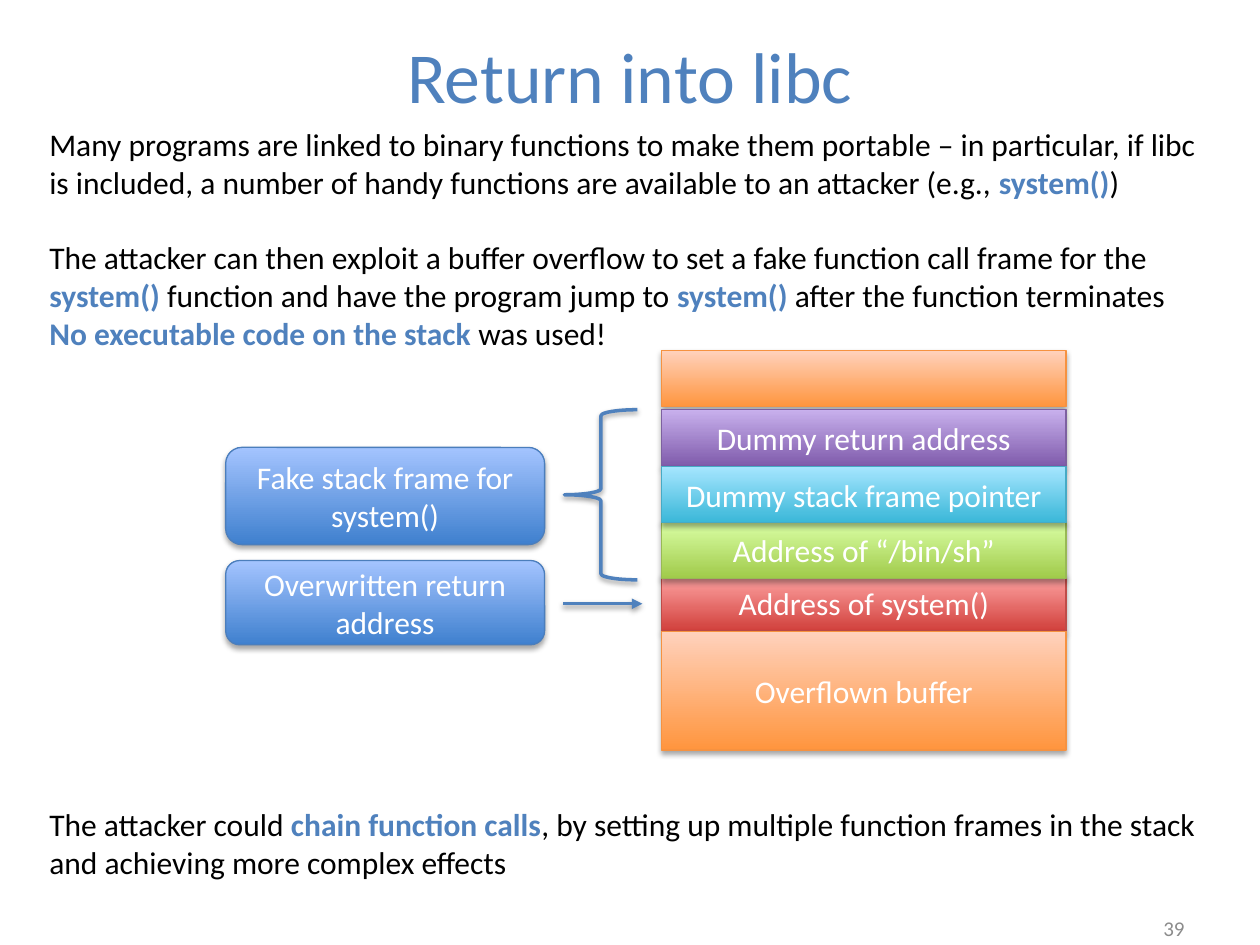
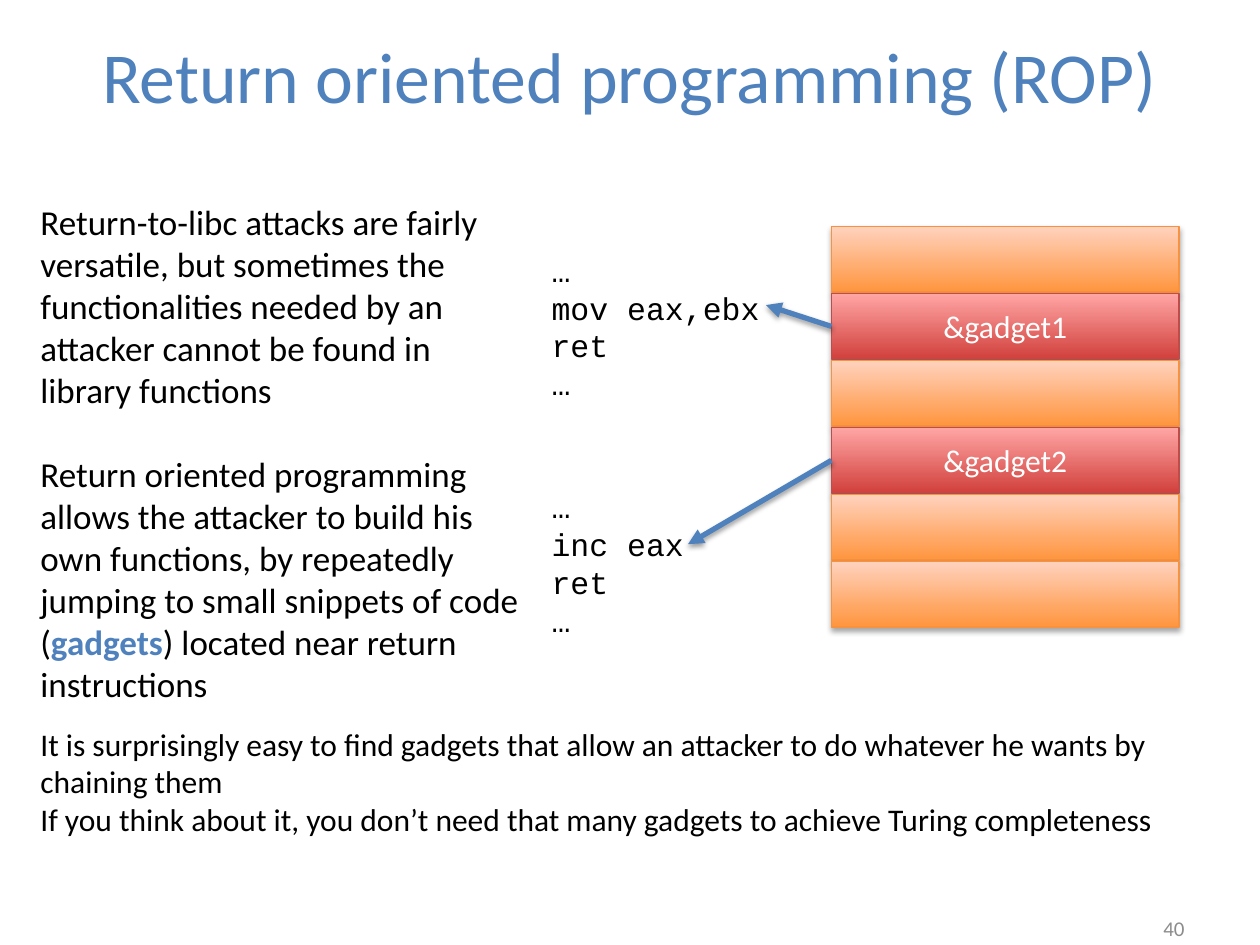
from dataclasses import dataclass

from lxml.etree import SubElement
from pptx import Presentation
from pptx.dml.color import RGBColor
from pptx.enum.shapes import MSO_CONNECTOR, MSO_SHAPE
from pptx.enum.text import MSO_ANCHOR, MSO_AUTO_SIZE, PP_ALIGN
from pptx.oxml.ns import qn
from pptx.util import Cm, Pt


@dataclass(frozen=True)
class Theme:
    font: str = "Calibri"
    code_font: str = "Courier New"
    title_size: int = 41
    lead_size: int = 20
    text_size: int = 18
    number_size: int = 12
    accent: str = "4F81BD"
    ink: str = "000000"
    light: str = "FFFFFF"
    grey: str = "8C8C8C"


THEME = Theme()

# Gradient bottom, gradient top, outline
PALETTE = {
    "orange": ("FF953E", "FFD2BD", "F69240"),
    "red": ("D1403C", "FFA6A5", "BF4C48"),
    "purple": ("7F5BAB", "C8B0ED", "7D60A0"),
    "green": ("A0CA4A", "DAFFA5", "98B955"),
    "cyan": ("39B7D8", "A7E6FF", "46AAC5"),
    "blue": ("3F80CE", "A4C4FF", "4B7EBC"),
}

# Texts are lists of blocks, a block is a list of paragraphs; *…* marks emphasis.
LIBC_TITLE = "Return into libc"
LIBC_INTRO = [
    ["Many programs are linked to binary functions to make them portable – in particular, "
     "if libc is included, a number of handy functions are available to an attacker "
     "(e.g., *system()*)"],
    ["The attacker can then exploit a buffer overflow to set a fake function call frame for "
     "the *system() *function and have the program jump to *system() *after the function "
     "terminates",
     "*No executable code on the stack *was used!"],
]
LIBC_CLOSING = [
    ["The attacker could *chain function calls*, by setting up multiple function frames in "
     "the stack and achieving more complex effects"],
]
# Label, colour, top, height, from back to front
LIBC_STACK = [
    ("Address of system()", "red", 11.58, 1.14),
    ("", "orange", 7.06, 1.14),
    ("Overflown buffer", "orange", 12.73, 2.39),
    ("Dummy return address", "purple", 8.26, 1.14),
    ("Address of “/bin/sh”", "green", 10.52, 1.14),
    ("Dummy stack frame pointer", "cyan", 9.4, 1.14),
]
LIBC_CALLOUTS = [
    ("Fake stack frame for system()", 9.02, 1.96),
    ("Overwritten return address", 11.3, 1.7),
]

ROP_TITLE = "Return oriented programming (ROP)"
ROP_INTRO = [
    ["Return-to-libc attacks are fairly versatile, but sometimes the functionalities needed "
     "by an attacker cannot be found in library functions"],
    ["Return oriented programming allows the attacker to build his own functions, by "
     "repeatedly jumping to small snippets of code (*gadgets*) located near return "
     "instructions"],
]
ROP_CLOSING = [
    ["It is surprisingly easy to find gadgets that allow an attacker to do whatever he wants "
     "by chaining them",
     "If you think about it, you don’t need that many gadgets to achieve Turing completeness"],
]
ROP_STACK = ["", "&gadget1", "", "&gadget2", "", ""]
# Gadget label: code lines, top of the code, arrow tip
GADGETS = {
    "&gadget1": (["…", "mov eax,ebx", "ret", "…"], 4.93, (15.44, 6.15)),
    "&gadget2": (["…", "inc eax", "ret", "…"], 9.7, (13.87, 10.97)),
}


def rgb(value):
    return RGBColor.from_string(value)


def write(shape, blocks, size=THEME.text_size, color=THEME.ink, font=THEME.font,
          align=PP_ALIGN.LEFT, anchor=MSO_ANCHOR.TOP):
    """Fill a shape with unbulleted paragraphs, one line of space between blocks."""
    frame = shape.text_frame
    frame.word_wrap = True
    frame.auto_size = MSO_AUTO_SIZE.NONE
    frame.vertical_anchor = anchor
    para = None
    for block in blocks:
        for position, text in enumerate(block):
            starts_block = para is not None and position == 0
            para = frame.paragraphs[0] if para is None else frame.add_paragraph()
            para.alignment = align
            para.space_before = Pt(1.2 * size if starts_block else 0)
            properties = para._p.get_or_add_pPr()
            properties.set("marL", "0")
            properties.set("indent", "0")
            SubElement(properties, qn("a:buNone"))
            for index, part in enumerate(text.split("*")):
                if not part:
                    continue
                emphasised = index % 2 == 1
                span = para.add_run()
                span.text = part
                span.font.name = font
                span.font.size = Pt(size)
                span.font.bold = emphasised
                span.font.color.rgb = rgb(THEME.accent if emphasised else color)


def place(shape, left, top, width, height):
    shape.left, shape.top = Cm(left), Cm(top)
    shape.width, shape.height = Cm(width), Cm(height)


def cast_shadow(shape, opacity, distance):
    """Give a soft shadow straight below; call it once the outline is set."""
    effects = SubElement(shape.element.spPr, qn("a:effectLst"))
    shadow = SubElement(effects, qn("a:outerShdw"), blurRad=str(Pt(3.1)),
                        dist=str(Pt(distance)), dir="5400000", rotWithShape="0")
    color = SubElement(shadow, qn("a:srgbClr"), val=THEME.ink)
    SubElement(color, qn("a:alpha"), val=str(opacity * 1000))


def style_line(shape, width):
    shape.line.color.rgb = rgb(THEME.accent)
    shape.line.width = Pt(width)


def add_box(page, label, color, bounds, kind=MSO_SHAPE.RECTANGLE):
    box = page.shapes.add_shape(kind, *map(Cm, bounds))
    bottom, top, outline = PALETTE[color]
    box.fill.gradient()
    box.fill.gradient_angle = 90
    for stop, value in zip(box.fill.gradient_stops, (bottom, top)):
        stop.color.rgb = rgb(value)
    box.line.color.rgb = rgb(outline)
    box.line.width = Pt(0.75)
    cast_shadow(box, 35, 1.8)
    if label:
        write(box, [[label]], color=THEME.light, align=PP_ALIGN.CENTER,
              anchor=MSO_ANCHOR.MIDDLE)
    return box


def add_arrow(page, start, end, width, source=None):
    """Draw an arrow, joined to the left side of the source box if there is one."""
    arrow = page.shapes.add_connector(MSO_CONNECTOR.STRAIGHT, *map(Cm, (*start, *end)))
    if source is not None:
        arrow.begin_connect(source, 1)
    style_line(arrow, width)
    SubElement(arrow.line._get_or_add_ln(), qn("a:tailEnd"), type="triangle")
    cast_shadow(arrow, 38, 1.6)


def add_page(deck, title, number):
    page = deck.slides.add_slide(deck.slide_layouts.get_by_name("Two Content"))
    place(page.shapes.title, 1.27, 0.25, 22.86, 2.51)
    write(page.shapes.title, [[title]], size=THEME.title_size, color=THEME.accent,
          align=PP_ALIGN.CENTER, anchor=MSO_ANCHOR.MIDDLE)
    number_box = page.shapes.add_textbox(Cm(22), Cm(18.21), Cm(2.13), Cm(1.02))
    write(number_box, [[str(number)]], size=THEME.number_size, color=THEME.grey,
          align=PP_ALIGN.RIGHT, anchor=MSO_ANCHOR.MIDDLE)
    return page


def fill_body(page, index, blocks, bounds, size=THEME.text_size):
    body = page.placeholders[index]
    place(body, *bounds)
    write(body, blocks, size=size)


def build_libc_page(deck):
    page = add_page(deck, LIBC_TITLE, 39)
    fill_body(page, 1, LIBC_INTRO, (0.74, 2.39, 23.83, 4.8))
    fill_body(page, 2, LIBC_CLOSING, (0.74, 16.1, 23.83, 1.8))
    for label, color, top, height in LIBC_STACK:
        add_box(page, label, color, (13.34, top, 8.15, height))
    for label, top, height in LIBC_CALLOUTS:
        add_box(page, label, "blue", (4.55, top, 6.43, height),
                MSO_SHAPE.ROUNDED_RECTANGLE)
    brace = page.shapes.add_shape(MSO_SHAPE.LEFT_BRACE, Cm(11.38), Cm(8.26),
                                  Cm(1.47), Cm(3.43))
    brace.fill.background()
    style_line(brace, 2)
    cast_shadow(brace, 38, 1.6)
    add_arrow(page, (11.35, 12.17), (12.95, 12.17), 2)


def build_rop_page(deck):
    page = add_page(deck, ROP_TITLE, 40)
    fill_body(page, 1, ROP_INTRO, (0.56, 3.91, 10.31, 10.52), THEME.lead_size)
    fill_body(page, 2, ROP_CLOSING, (0.56, 14.48, 23.57, 2.57))
    left, first_top, pitch = 16.76, 4.57, 1.35
    cells = {}
    for row, label in enumerate(ROP_STACK):
        color = "red" if label else "orange"
        cells[label] = add_box(page, label, color,
                               (left, first_top + row * pitch, 7.01, 1.32))
    for label, (code, top, tip) in GADGETS.items():
        code_box = page.shapes.add_textbox(Cm(10.87), Cm(top), Cm(4.85), Cm(3.33))
        write(code_box, [code], font=THEME.code_font)
        add_arrow(page, (left, top), tip, 3, source=cells[label])


def main():
    deck = Presentation()
    deck.slide_width, deck.slide_height = Cm(25.4), Cm(19.05)
    build_libc_page(deck)
    build_rop_page(deck)
    deck.save("out.pptx")


if __name__ == "__main__":
    main()
